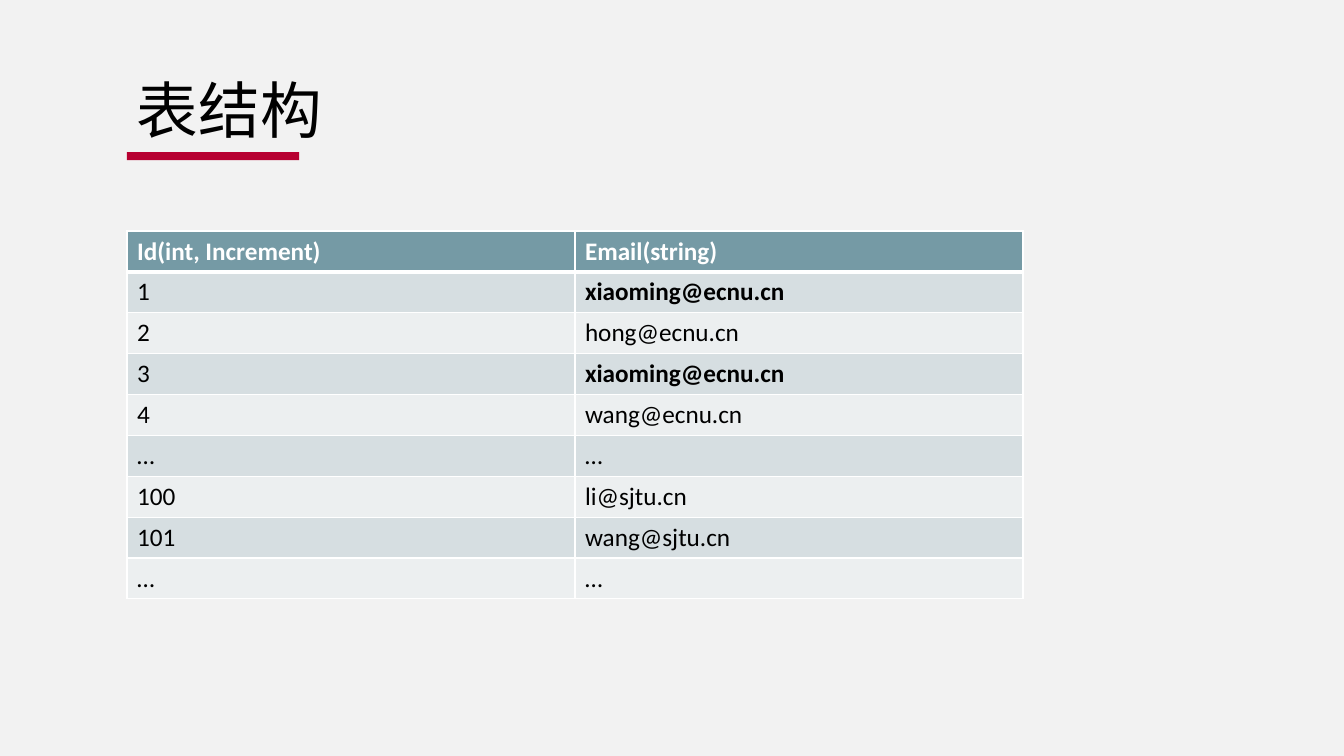
import pptx
import pptx.dml.color
import pptx.enum.shapes
import pptx.enum.text
import pptx.oxml
import pptx.oxml.ns
import pptx.util

Pt = pptx.util.Pt
RGBColor = pptx.dml.color.RGBColor

BACKGROUND = RGBColor(0xF2, 0xF2, 0xF2)
ACCENT = RGBColor(0xB7, 0x00, 0x31)
HEADER = RGBColor(0x75, 0x9A, 0xA5)
BANDS = (RGBColor(0xEC, 0xEF, 0xF0), RGBColor(0xD6, 0xDE, 0xE1))
BLACK = RGBColor(0, 0, 0)
WHITE = RGBColor(0xFF, 0xFF, 0xFF)

LEFT = 90.7
COLUMN_WIDTH = 320
ROW_HEIGHT = 29.2
REPEATED_EMAIL = "xiaoming@ecnu.cn"
ROWS = (
    ("Id(int, Increment)", "Email(string)"),
    ("1", REPEATED_EMAIL),
    ("2", "hong@ecnu.cn"),
    ("3", REPEATED_EMAIL),
    ("4", "wang@ecnu.cn"),
    ("…", "…"),
    ("100", "li@sjtu.cn"),
    ("101", "wang@sjtu.cn"),
    ("…", "…"),
)


def format_text(text_frame, font_name, size, color, bold=False):
    for paragraph in text_frame.paragraphs:
        for run in paragraph.runs:
            font = run.font
            font.name = font_name
            font.size = Pt(size)
            font.bold = bold
            font.color.rgb = color
            east_asian = pptx.oxml.parse_xml(
                f'<a:ea {pptx.oxml.ns.nsdecls("a")} typeface="{font_name}"/>'
            )
            run.font._element.find(pptx.oxml.ns.qn("a:latin")).addnext(east_asian)


def add_title(slide, text):
    title = slide.shapes.add_textbox(Pt(LEFT), Pt(28.8), Pt(802.8), Pt(104.4))
    text_frame = title.text_frame
    text_frame.word_wrap = True
    text_frame.vertical_anchor = pptx.enum.text.MSO_ANCHOR.MIDDLE
    text_frame.text = text
    text_frame.paragraphs[0].line_spacing = 0.9
    format_text(text_frame, "Noto Sans CJK SC", 44, BLACK)


def add_underline(slide):
    underline = slide.shapes.add_shape(
        pptx.enum.shapes.MSO_SHAPE.RECTANGLE, Pt(LEFT), Pt(108.6), Pt(123), Pt(5.8)
    )
    underline.shadow.inherit = False
    underline.fill.solid()
    underline.fill.fore_color.rgb = ACCENT
    underline.line.fill.background()


def set_borders(cell, top, bottom):
    properties = cell._tc.get_or_add_tcPr()
    for side, width in (("L", 1), ("R", 1), ("T", top), ("B", bottom)):
        properties.append(pptx.oxml.parse_xml(
            f'<a:ln{side} {pptx.oxml.ns.nsdecls("a")} w="{Pt(width)}">'
            f'<a:solidFill><a:srgbClr val="{WHITE}"/></a:solidFill></a:ln{side}>'
        ))


def add_table(slide, rows):
    column_count = len(rows[0])
    table = slide.shapes.add_table(
        len(rows), column_count, Pt(LEFT), Pt(165),
        Pt(COLUMN_WIDTH * column_count), Pt(ROW_HEIGHT * len(rows)),
    ).table
    for column in table.columns:
        column.width = Pt(COLUMN_WIDTH)
    for row_index, values in enumerate(rows):
        table.rows[row_index].height = Pt(ROW_HEIGHT)
        is_header = row_index == 0
        for column_index, value in enumerate(values):
            cell = table.cell(row_index, column_index)
            cell.text_frame.text = value
            format_text(
                cell.text_frame, "Calibri", 18, WHITE if is_header else BLACK,
                is_header or value == REPEATED_EMAIL,
            )
            set_borders(cell, 3 if row_index == 1 else 1, 3 if is_header else 1)
            cell.fill.solid()
            cell.fill.fore_color.rgb = HEADER if is_header else BANDS[row_index % 2]


def main():
    presentation = pptx.Presentation()
    presentation.slide_width = Pt(960)
    presentation.slide_height = Pt(540)
    slide = presentation.slides.add_slide(presentation.slide_layouts[6])
    slide.background.fill.solid()
    slide.background.fill.fore_color.rgb = BACKGROUND
    add_underline(slide)
    add_title(slide, "表结构")
    add_table(slide, ROWS)
    presentation.save("out.pptx")


main()
